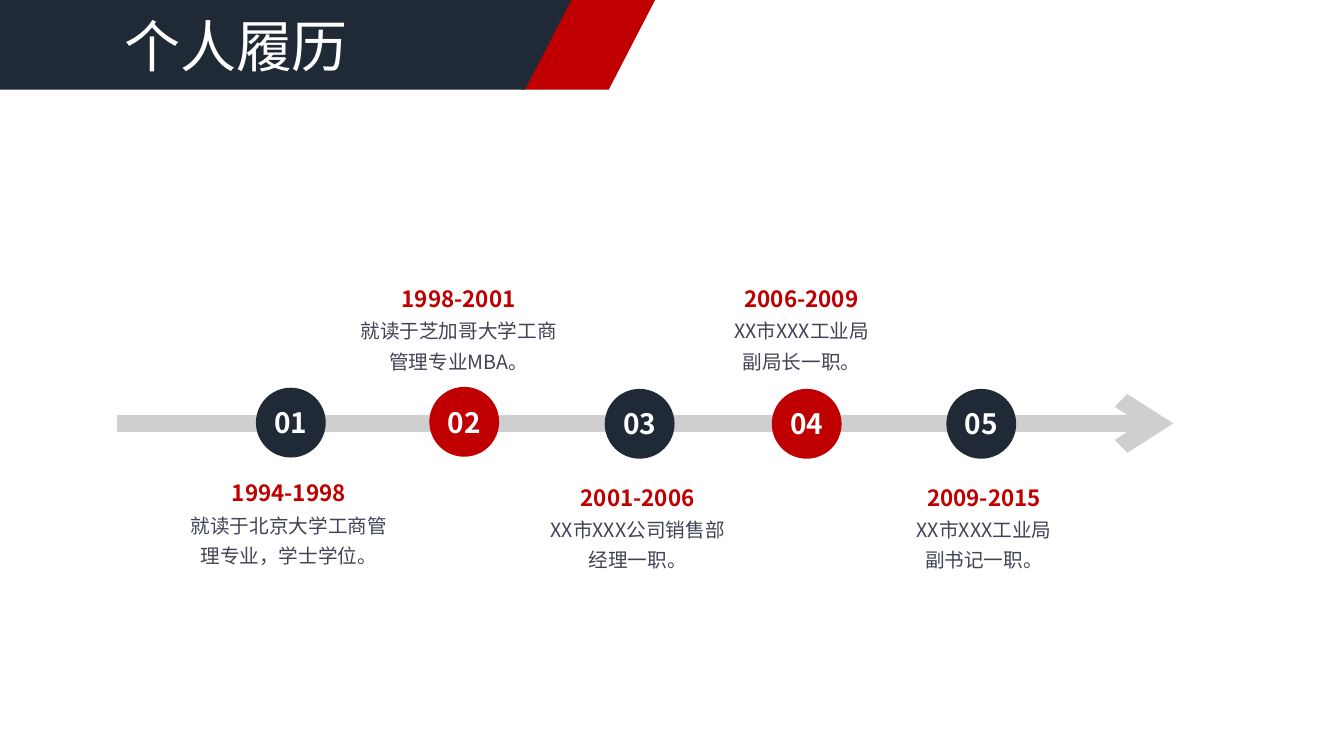
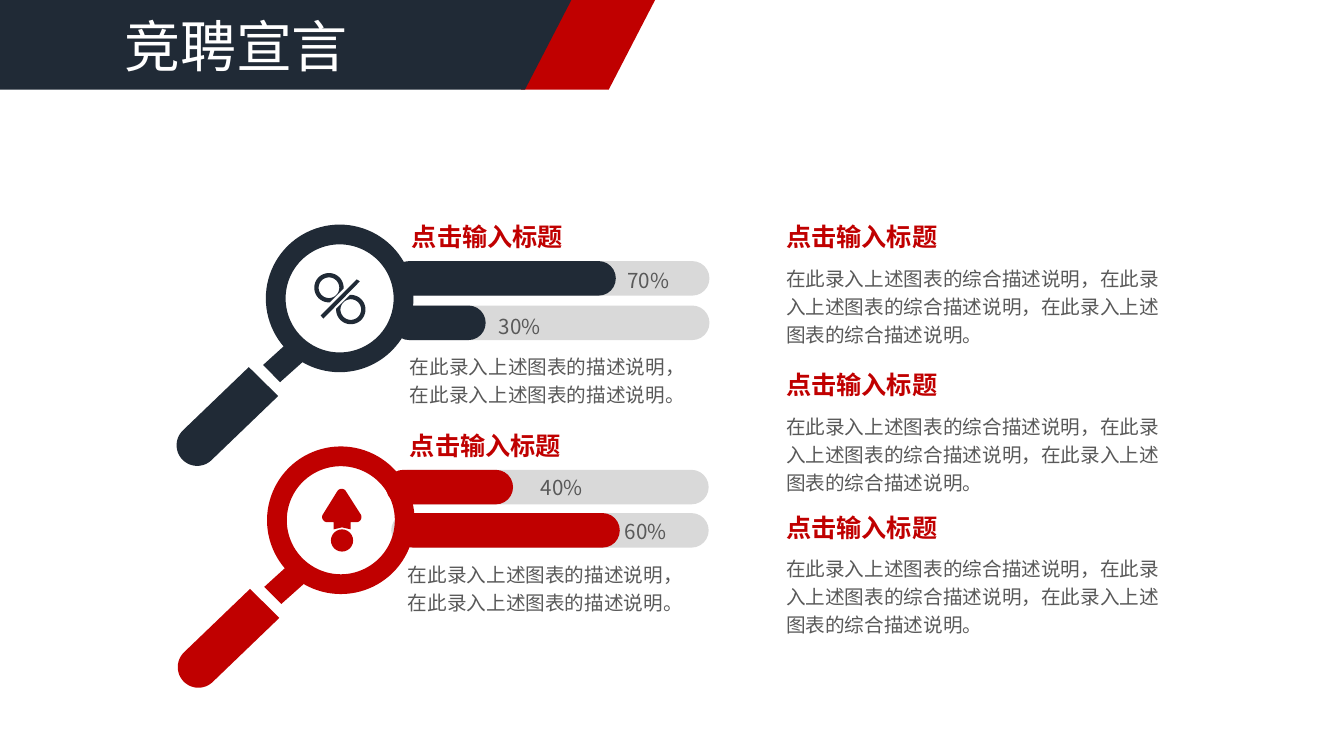
"""Build the career timeline and the campaign statement slides."""
import math

import lxml.etree
import pptx
import pptx.dml.color
import pptx.enum.shapes
import pptx.enum.text
import pptx.oxml.ns
import pptx.util

Cm = pptx.util.Cm
Pt = pptx.util.Pt
RGBColor = pptx.dml.color.RGBColor
Shape = pptx.enum.shapes.MSO_SHAPE
Align = pptx.enum.text.PP_ALIGN
qn = pptx.oxml.ns.qn

NAVY = RGBColor(0x20, 0x2A, 0x36)
RED = RGBColor(0xC0, 0x00, 0x00)
WHITE = RGBColor(0xFF, 0xFF, 0xFF)
TRACK = RGBColor(0xD9, 0xD9, 0xD9)
AXIS = RGBColor(0xA6, 0xA6, 0xA6)
SLATE = RGBColor(0x41, 0x44, 0x55)
GRAY = RGBColor(0x59, 0x59, 0x59)
SANS = "Noto Sans CJK SC"
CONDENSED = "Roboto Condensed"

HEADING = "点击输入标题"
SUMMARY = "，".join(["在此录入上述图表的综合描述说明"] * 3) + "。"
DETAIL = "，".join(["在此录入上述图表的描述说明"] * 2) + "。"

MILESTONES = [
    (7.33, 10.65, 7.28, 11.96, "1994-1998",
     [[("就读于北京大学工商管", CONDENSED)], [("理专业，学士学位。", CONDENSED)]]),
    (11.7, 10.63, 11.56, 7.06, "1998-2001",
     [[("就读于芝加哥大学工商", CONDENSED)], [("管理专业", CONDENSED), ("MBA。", SANS)]]),
    (16.12, 10.68, 16.07, 12.07, "2001-2006",
     [[("XX市XXX", SANS), ("公司销售部", CONDENSED)], [("经理一职。", CONDENSED)]]),
    (20.33, 10.68, 20.2, 7.06, "2006-2009",
     [[("XX市XXX", SANS), ("工业局", CONDENSED)], [("副局长一职。", CONDENSED)]]),
    (24.73, 10.68, 24.8, 12.07, "2009-2015",
     [[("XX市XXX", SANS), ("工业局", CONDENSED)], [("副书记一职。", CONDENSED)]]),
]
BARS = [
    (9.88, 6.58, 9.88, 5.64, NAVY, "70%", 16.34, 6.5),
    (9.88, 7.7, 9.88, 2.36, NAVY, "30%", 13.1, 7.65),
    (9.86, 11.84, 9.73, 3.2, RED, "40%", 14.16, 11.71),
    (9.86, 12.93, 9.98, 5.64, RED, "60%", 16.27, 12.83),
]
SECTIONS = [
    (19.56, 5.46, 19.56, 6.48, 10.06, SUMMARY),
    (19.56, 9.17, 19.56, 10.21, 10.06, SUMMARY),
    (19.56, 12.78, 19.56, 13.79, 10.06, SUMMARY),
    (10.13, 5.44, 10.08, 8.69, 7.82, DETAIL),
    (10.08, 10.72, 10.03, 13.94, 7.82, DETAIL),
]


def arc(x, y, radius, start, sweep):
    """Return points along a circle, with angles in degrees clockwise."""
    steps = max(8, abs(sweep) // 6)
    angles = [math.radians(start + sweep * i / steps) for i in range(steps + 1)]
    return [(x + radius * math.cos(a), y + radius * math.sin(a)) for a in angles]


class Deck:
    """Hold the shared style and the slide being built."""

    def __init__(self):
        """Open a wide presentation."""
        self.prs = pptx.Presentation()
        self.prs.slide_width, self.prs.slide_height = Cm(33.87), Cm(19.05)
        self.shapes = None

    def slide(self, title):
        """Start a slide with the banner and its title."""
        self.shapes = self.prs.slides.add_slide(self.prs.slide_layouts[6]).shapes
        self.shape(Shape.PARALLELOGRAM, 13.13, 0, 3.38, 2.26, RED, 0.517)
        self.outline([[(0, 0), (14.4, 0), (13.23, 2.26), (0, 2.26)]], NAVY)
        frame = self.text(2.95, 0.18, 7.98, 1.9)
        frame.margin_left = frame.margin_right = Cm(0.18)
        frame.margin_top = frame.margin_bottom = Cm(0.1)
        self.run(frame.paragraphs[0], title, 40, WHITE)

    def paint(self, shape, color):
        """Give a shape a flat fill without line or shadow."""
        shape.shadow.inherit = False
        shape.fill.solid()
        shape.fill.fore_color.rgb = color
        shape.line.fill.background()
        return shape

    def shape(self, kind, left, top, width, height, color, adjust=None):
        """Add a preset shape."""
        shape = self.shapes.add_shape(kind, Cm(left), Cm(top), Cm(width), Cm(height))
        if adjust is not None:
            shape.adjustments[0] = adjust
        return self.paint(shape, color)

    def outline(self, contours, color, x=0, y=0):
        """Add a freeform whose contours are relative to a point."""
        placed = [[(Cm(x + dx), Cm(y + dy)) for dx, dy in contour] for contour in contours]
        builder = self.shapes.build_freeform(*placed[0][0], scale=1.0)
        builder.add_line_segments(placed[0][1:], close=True)
        for contour in placed[1:]:
            builder.move_to(*contour[0])
            builder.add_line_segments(contour[1:], close=True)
        return self.paint(builder.convert_to_shape(), color)

    def text(self, left, top, width, height, wrap=True):
        """Add a text box and return its frame."""
        frame = self.shapes.add_textbox(Cm(left), Cm(top), Cm(width), Cm(height)).text_frame
        frame.word_wrap = wrap
        return frame

    def run(self, paragraph, words, size, color, bold=False, font=SANS):
        """Append a styled run."""
        run = paragraph.add_run()
        run.text = words
        run.font.name, run.font.size, run.font.bold = font, Pt(size), bold
        run.font.color.rgb = color

    def axis(self, left, right, y):
        """Add the translucent timeline arrow."""
        axis = self.shapes.add_connector(
            pptx.enum.shapes.MSO_CONNECTOR.STRAIGHT, Cm(left), Cm(y), Cm(right), Cm(y))
        axis.line.width = Pt(12)
        axis.line.color.rgb = AXIS
        stroke = axis.line._get_or_add_ln()
        lxml.etree.SubElement(stroke.find(".//" + qn("a:srgbClr")), qn("a:alpha"), val="53000")
        lxml.etree.SubElement(stroke, qn("a:tailEnd"), type="arrow")
        lxml.etree.SubElement(axis._element.spPr, qn("a:effectLst"))

    def milestone(self, number, color, x, y, caption_x, caption_top, years, lines):
        """Add a numbered dot and its caption."""
        dot = self.shape(Shape.OVAL, x - 0.88, y - 0.88, 1.76, 1.76, color)
        frame = dot.text_frame
        frame.margin_left = frame.margin_right = frame.margin_top = frame.margin_bottom = 0
        frame.word_wrap = False
        frame.vertical_anchor = pptx.enum.text.MSO_ANCHOR.MIDDLE
        frame.paragraphs[0].alignment = Align.CENTER
        self.run(frame.paragraphs[0], f"{number:02}", 20, WHITE, True)

        caption = self.text(caption_x - 2.75, caption_top, 5.5, 2.49, wrap=False)
        caption.paragraphs[0].alignment = Align.CENTER
        self.run(caption.paragraphs[0], years, 16, RED, True)
        for line in lines:
            paragraph = caption.add_paragraph()
            paragraph.alignment = Align.CENTER
            paragraph.space_before = Pt(5)
            for words, font in line:
                self.run(paragraph, words, 14, SLATE, font=font)

    def bar(self, left, top, fill_left, fill_width, color, share, label_x, label_top):
        """Add a progress bar with its percentage."""
        self.shape(Shape.ROUNDED_RECTANGLE, left, top, 8, 0.87, TRACK, 0.5)
        self.shape(Shape.ROUNDED_RECTANGLE, fill_left, top, fill_width, 0.87, color, 0.5)
        paragraph = self.text(label_x - 0.9, label_top, 1.8, 1.02).paragraphs[0]
        paragraph.alignment = Align.CENTER
        paragraph.line_spacing = 1.2
        self.run(paragraph, share, 14.7, GRAY)

    def magnifier(self, x, y, color):
        """Add a magnifying glass centred on its lens."""
        neck = [(-0.76, 1.45), (-1.5, 2.11), (-1.93, 1.68), (-1.17, 0.99)]
        grip = [(-1.55, 2.46), (-2.29, 1.73)] + arc(-3.59, 3.7, 0.52, 225, -180)
        for part in (neck, grip):
            self.outline([part], color, x, y)
        self.shape(Shape.DONUT, x - 1.86, y - 1.86, 3.72, 3.72, color, 0.134)

    def percent_sign(self, x, y, color):
        """Add a percent sign with loops trimmed along the slash."""
        for offset, start in ((-0.27, 87), (0.28, 267)):
            self.outline([arc(offset, offset, 0.37, start, 276),
                          arc(offset, offset, 0.26, 0, -360)], color, x, y)
        self.outline([[(0.51, -0.43), (-0.41, 0.51), (-0.48, 0.43), (0.43, -0.48)]],
                     color, x, y)

    def up_arrow(self, x, y, color):
        """Add a rounded arrow standing on a dot."""
        stem = [(0.25, 0.05), (0.25, 0.23), (0.03, 0.18), (-0.18, 0.23), (-0.18, 0.05)]
        head = arc(0.02, -0.66, 0.13, 210, 120) + arc(0.39, -0.08, 0.13, -30, 120)
        self.outline([head + stem + arc(-0.34, -0.08, 0.13, 90, 120)], color, x, y)
        self.shape(Shape.OVAL, x - 0.25, y + 0.23, 0.56, 0.56, color)

    def section(self, left, top, body_left, body_top, body_width, body):
        """Add a red heading and its paragraph."""
        heading = self.text(left, top, 4.37, 1.02, wrap=False).paragraphs[0]
        self.run(heading, HEADING, 18, RED, True)
        paragraph = self.text(body_left, body_top, body_width, 2.41).paragraphs[0]
        paragraph.line_spacing = 1.2
        self.run(paragraph, body, 14, GRAY)


def main():
    """Build and save both slides."""
    deck = Deck()

    deck.slide("个人履历")
    deck.axis(2.95, 29.57, 10.67)
    for number, milestone in enumerate(MILESTONES, 1):
        deck.milestone(number, NAVY if number % 2 else RED, *milestone)

    deck.slide("竞聘宣言")
    for bar in BARS:
        deck.bar(*bar)
    for x, y, color, symbol in ((8.56, 7.52, NAVY, deck.percent_sign),
                                (8.59, 13.11, RED, deck.up_arrow)):
        deck.magnifier(x, y, color)
        symbol(x, y, color)
    for section in SECTIONS:
        deck.section(*section)

    deck.prs.save("out.pptx")


if __name__ == "__main__":
    main()
